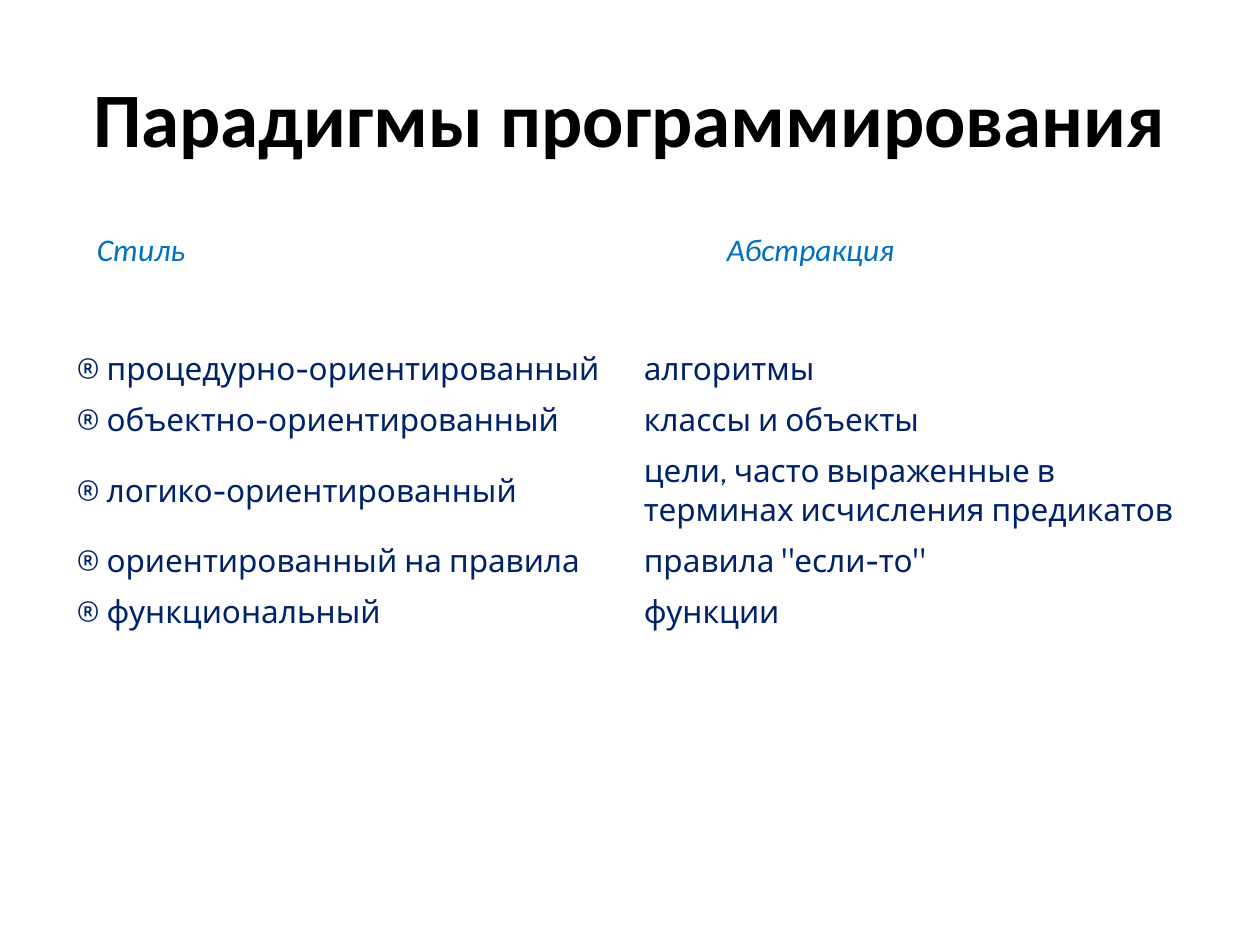
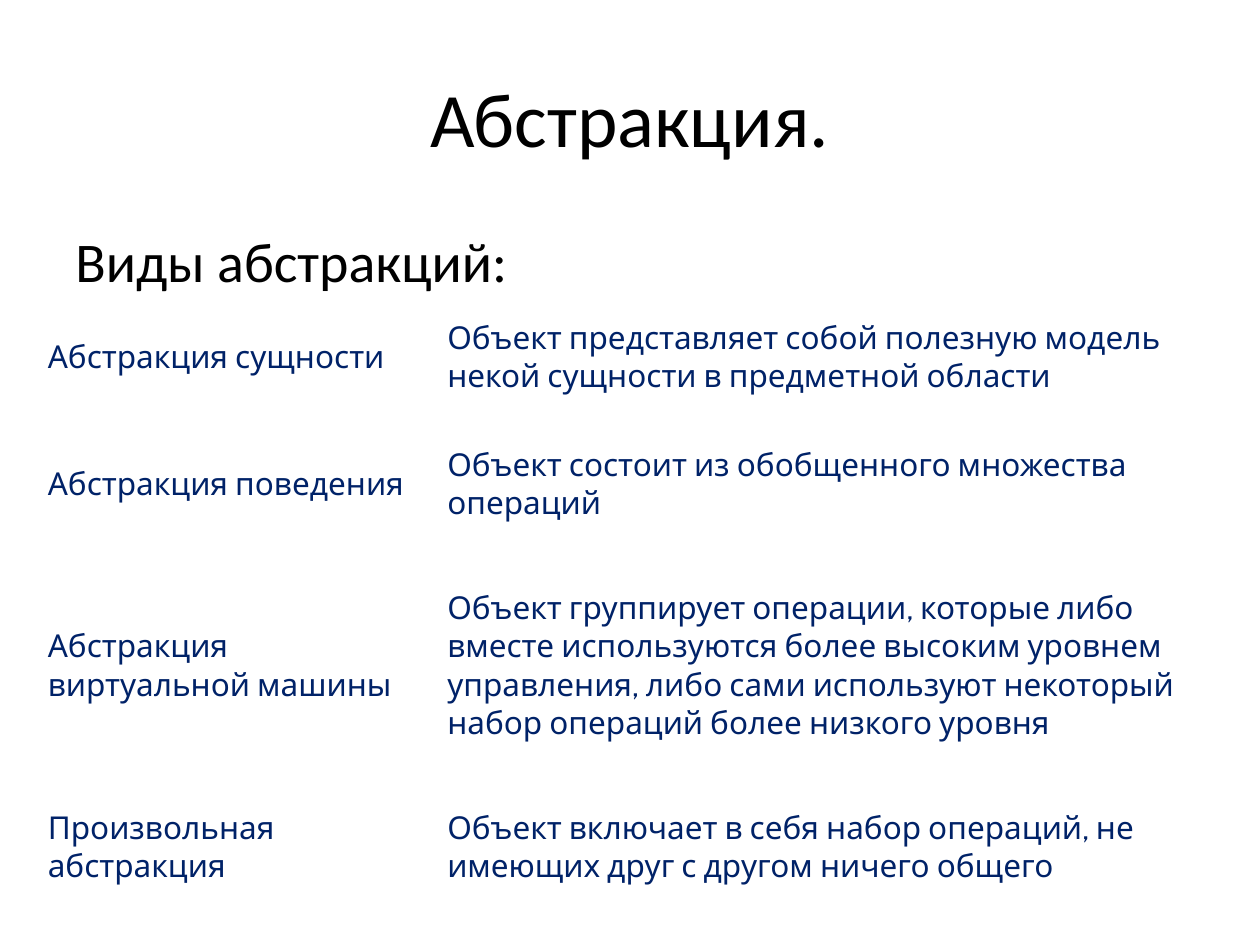
from lxml import etree
from pptx import Presentation
from pptx import util as u
from pptx.dml.color import RGBColor
from pptx.enum import text
from pptx.oxml.ns import qn

BLACK = RGBColor(0x00, 0x00, 0x00)
WHITE = RGBColor(0xFF, 0xFF, 0xFF)
NAVY = RGBColor(0x00, 0x22, 0x68)
BLUE = RGBColor(0x00, 0x70, 0xC0)

TITLE = {"name": "Calibri", "size": u.Pt(44), "bold": False}
STRONG_TITLE = {**TITLE, "bold": True}
SUBTITLE = {"name": "Calibri", "size": u.Pt(32)}
HEADER = {"name": "Calibri", "size": u.Pt(18), "italic": True}
CELL = {"name": "Cabin", "size": u.Pt(18), "bold": False}

deck = Presentation()
deck.slide_width, deck.slide_height = u.Inches(10), u.Inches(7.5)
MARGIN = deck.slide_width * 0.05
CONTENT_WIDTH = deck.slide_width * 0.9


def write(frame, words, style, color):
    """Put one formatted line of text in a frame and return its paragraph."""
    frame.word_wrap = True
    para = frame.paragraphs[0]
    span = para.add_run()
    span.text = words
    for name, value in style.items():
        setattr(span.font, name, value)
    span.font.color.rgb = color
    return para


def add_grid(page, left, top, widths, heights, rows):
    """Add a plain white table with vertically centred cells."""
    grid = page.shapes.add_table(
        len(rows), len(widths), u.Inches(left), u.Inches(top),
        u.Inches(sum(widths)), u.Inches(sum(heights))).table
    grid.first_row = grid.horz_banding = False
    for column, width in zip(grid.columns, widths):
        column.width = u.Inches(width)
    for row, height, entries in zip(grid.rows, heights, rows):
        row.height = u.Inches(height)
        for cell, words in zip(row.cells, entries):
            cell.fill.solid()
            cell.fill.fore_color.rgb = WHITE
            cell.vertical_anchor = text.MSO_ANCHOR.MIDDLE
            write(cell.text_frame, words, CELL, NAVY)


# Pages with their titles
pages = []
for words, style in [("Парадигмы программирования", STRONG_TITLE),
                     ("Абстракция.", TITLE)]:
    page = deck.slides.add_slide(deck.slide_layouts[5])
    title = page.shapes.title
    title.left, title.top = int(MARGIN), int(deck.slide_height * 0.04)
    title.width, title.height = int(CONTENT_WIDTH), u.Inches(1.25)
    title.text_frame.vertical_anchor = text.MSO_ANCHOR.MIDDLE
    para = write(title.text_frame, words, style, BLACK)
    para.alignment = text.PP_ALIGN.CENTER
    pages.append(page)
paradigms, abstraction = pages

# Paradigms: styles and what each abstracts
add_grid(paradigms, 0.51, 2.73, [4.5, 4.5], [0.4, 0.4, 0.7, 0.4, 0.4], [
    ("® процедурно-ориентированный", "алгоритмы"),
    ("® объектно-ориентированный", "классы и объекты"),
    ("® логико-ориентированный",
     "цели, часто выраженные в терминах исчисления предикатов"),
    ("® ориентированный на правила", 'правила "если-то"'),
    ("® функциональный", "функции"),
])

# Paradigms: column headings, the second one on a tab stop
box = paradigms.shapes.add_textbox(
    u.Inches(0.67), u.Inches(1.78), u.Inches(8.58), u.Inches(0.4))
para = write(box.text_frame, "Стиль\tАбстракция", HEADER, BLUE)
stops = etree.SubElement(para._p.get_or_add_pPr(), qn("a:tabLst"))
etree.SubElement(stops, qn("a:tab"), pos=str(u.Inches(5)), algn="l")

# Abstraction: subtitle and kinds
box = abstraction.shapes.add_textbox(
    int(MARGIN), u.Inches(1.75), int(CONTENT_WIDTH), u.Inches(0.6))
para = write(box.text_frame, "Виды абстракций:", SUBTITLE, BLACK)
para.space_before = u.Pt(6.4)

add_grid(abstraction, 0.28, 2.33, [3.17, 6.44], [1.01, 1.01, 1.87, 1.01], [
    ("Абстракция сущности",
     "Объект представляет собой полезную модель некой сущности "
     "в предметной области"),
    ("Абстракция поведения",
     "Объект состоит из обобщенного множества операций"),
    ("Абстракция виртуальной машины",
     "Объект группирует операции, которые либо вместе используются более "
     "высоким уровнем управления, либо сами используют некоторый набор "
     "операций более низкого уровня"),
    ("Произвольная абстракция",
     "Объект включает в себя набор операций, не имеющих друг с другом "
     "ничего общего"),
])

deck.save("out.pptx")
